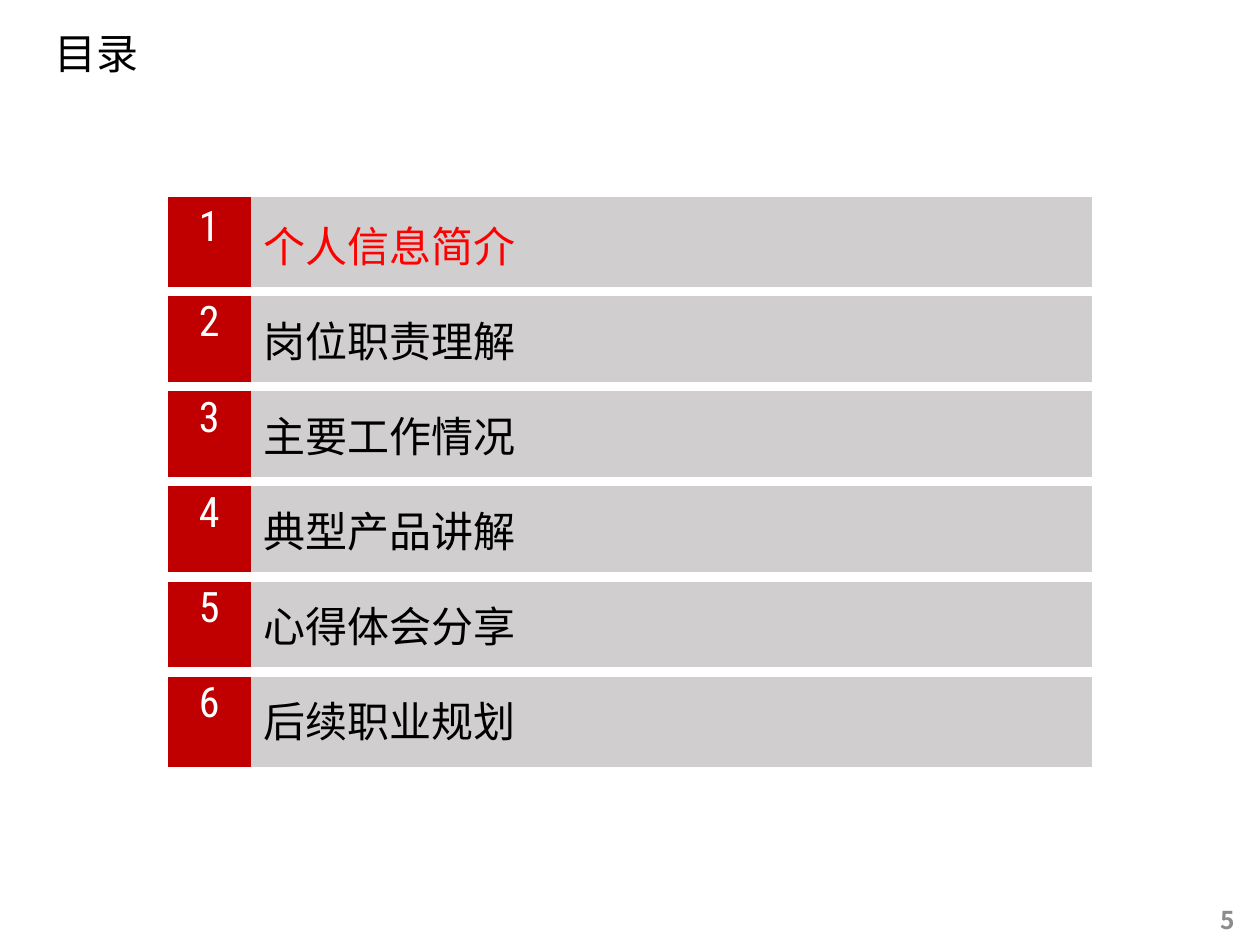
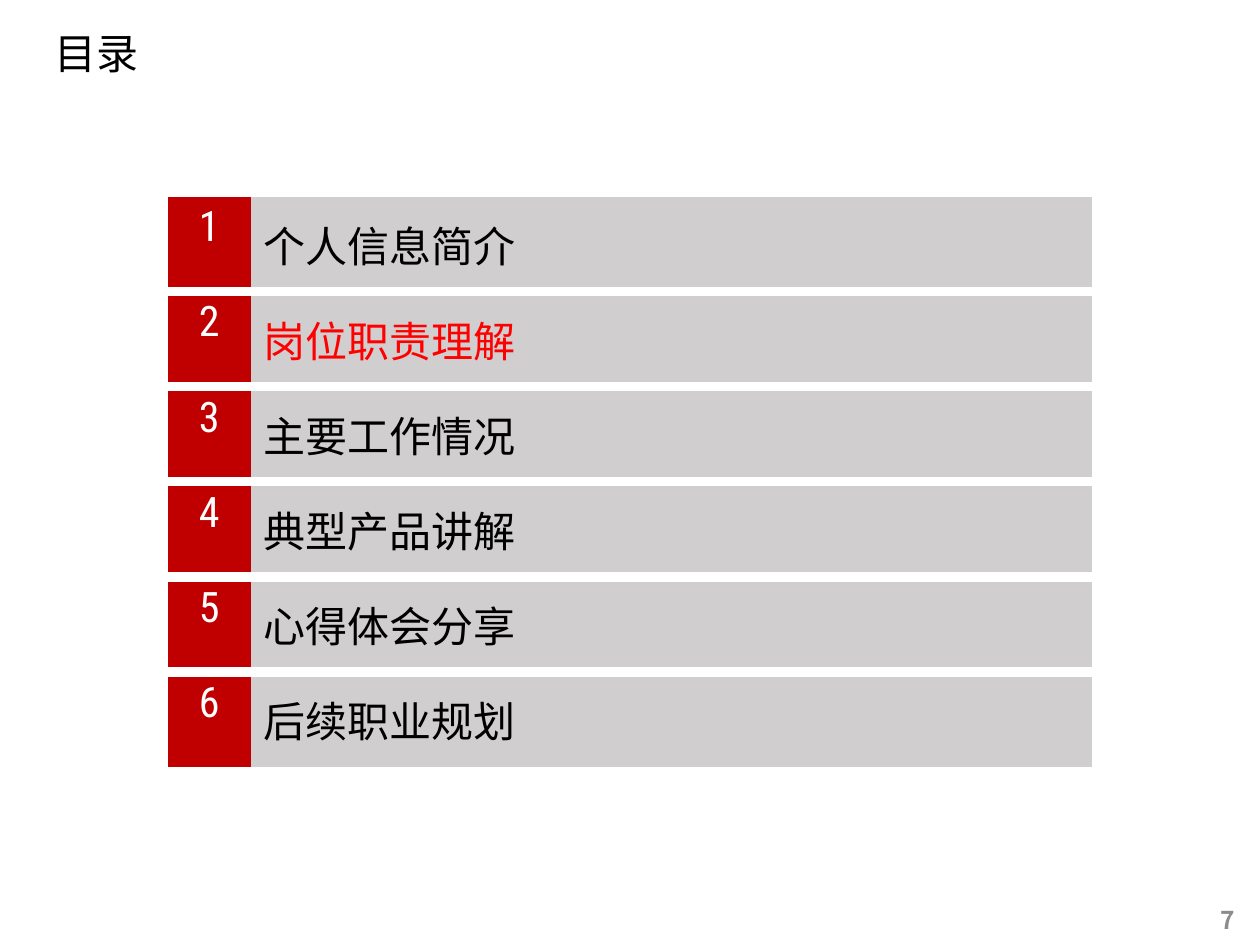
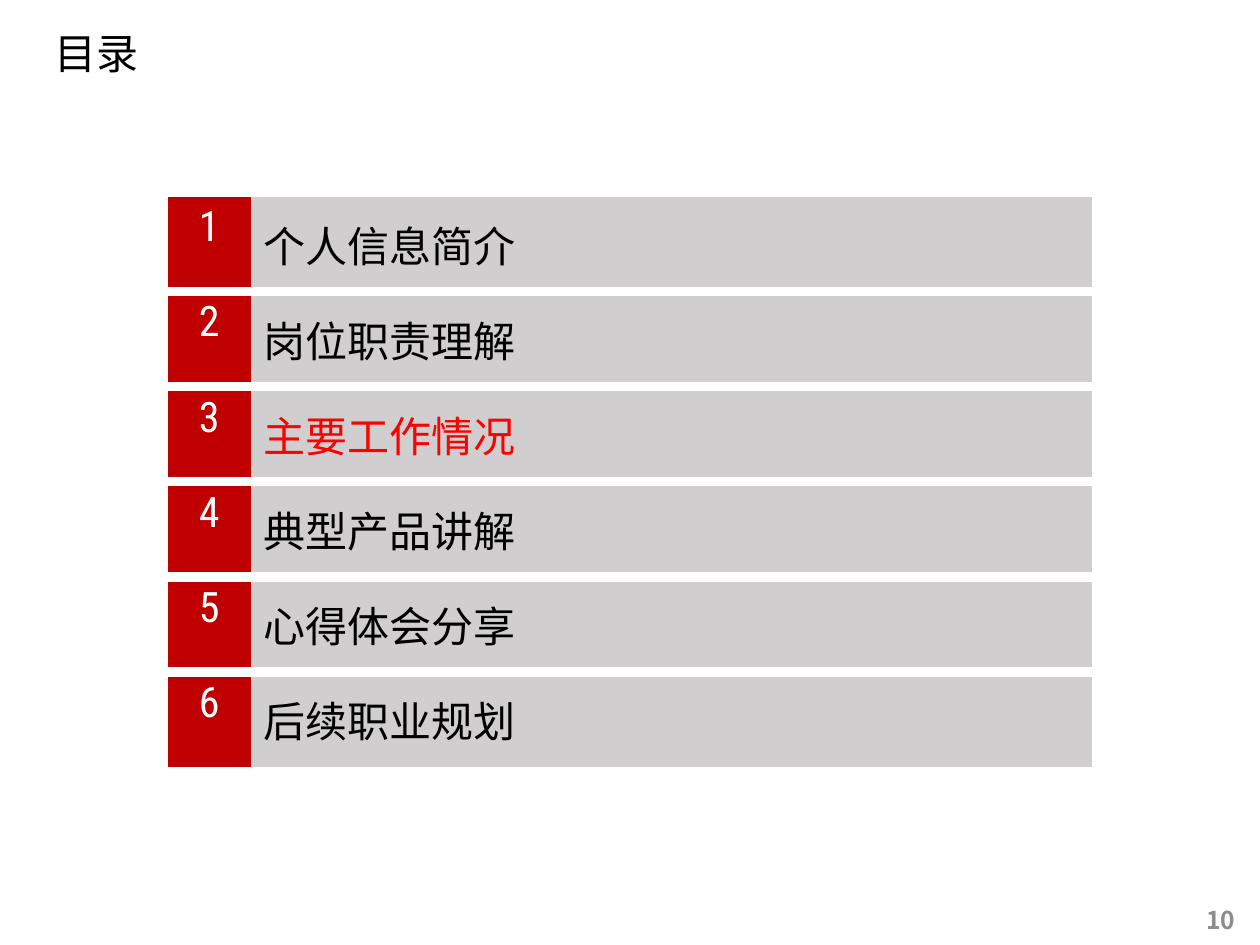
import pptx
import pptx.dml.color
import pptx.enum.text
import pptx.oxml.ns
import pptx.util
from lxml import etree

In, Pt = pptx.util.Inches, pptx.util.Pt
Align, Anchor = pptx.enum.text.PP_ALIGN, pptx.enum.text.MSO_ANCHOR
qn = pptx.oxml.ns.qn

COLORS = {"text": "000000", "active": "FF0000", "number": "FFFFFF", "page": "8C8C8C",
          "number_fill": "C00000", "topic_fill": "D0CECE", "gap": "FFFFFF"}
CJK, LATIN = "Noto Sans CJK SC", "Roboto Condensed"
TOPICS = ["个人信息简介", "岗位职责理解", "主要工作情况",
          "典型产品讲解", "心得体会分享", "后续职业规划"]
PAGES = [5, 7, 10]
LEFT, TOP, ROW_H = 1.33, 1.56, 0.755
COL_W = [0.66, 6.68]
GAP = 6


def write(tf, text, font, size, color, align=Align.LEFT, bold=False):
    p = tf.paragraphs[0]
    p.text = text
    p.alignment = align
    f = p.font
    f.name, f.size, f.bold = font, Pt(size), bold
    f.color.rgb = pptx.dml.color.RGBColor.from_string(COLORS[color])
    ea = etree.SubElement(f._element, qn("a:ea"))
    ea.set("typeface", font)
    return p


def set_borders(cell, top, bottom):
    """Draw white gaps above and below as asked, and no other border."""
    tcPr = cell._tc.get_or_add_tcPr()
    sides = {"lnL": False, "lnR": False, "lnT": top, "lnB": bottom}
    for i, (side, shown) in enumerate(sides.items()):
        ln = etree.Element(qn(f"a:{side}"))
        tcPr.insert(i, ln)
        if shown:
            ln.set("w", str(Pt(GAP)))
            fill = etree.SubElement(ln, qn("a:solidFill"))
            etree.SubElement(fill, qn("a:srgbClr")).set("val", COLORS["gap"])
        else:
            etree.SubElement(ln, qn("a:noFill"))


prs = pptx.Presentation()
prs.slide_width, prs.slide_height = In(10), In(7.5)

for active, page in enumerate(PAGES):
    s = prs.slides.add_slide(prs.slide_layouts[6])

    tf = s.shapes.add_textbox(In(0.23), In(0.23), In(3.78), In(0.42)).text_frame
    tf.word_wrap = True
    tf.vertical_anchor = Anchor.MIDDLE
    tf.margin_left = tf.margin_right = In(0.2)
    write(tf, "目录", CJK, 24, "text").line_spacing = 0.9

    tf = s.shapes.add_textbox(In(9.25), In(7.22), In(0.65), In(0.16)).text_frame
    tf.word_wrap = True
    tf.vertical_anchor = Anchor.MIDDLE
    write(tf, str(page), CJK, 14, "page", Align.RIGHT, True)

    rows = len(TOPICS)
    table = s.shapes.add_table(rows, len(COL_W), In(LEFT), In(TOP),
                               In(sum(COL_W)), In(rows * ROW_H)).table
    table.first_row = table.horz_banding = False
    for col, width in zip(table.columns, COL_W):
        col.width = In(width)

    for i, topic in enumerate(TOPICS):
        number, label = table.cell(i, 0), table.cell(i, 1)
        for cell, fill in ((number, "number_fill"), (label, "topic_fill")):
            cell.fill.solid()
            cell.fill.fore_color.rgb = pptx.dml.color.RGBColor.from_string(COLORS[fill])
            set_borders(cell, top=i > 0, bottom=i < rows - 1)
        write(number.text_frame, str(i + 1), LATIN, 24, "number", Align.CENTER)
        label.vertical_anchor = Anchor.MIDDLE
        write(label.text_frame, topic, CJK, 24, "active" if i == active else "text")

prs.save("out.pptx")
